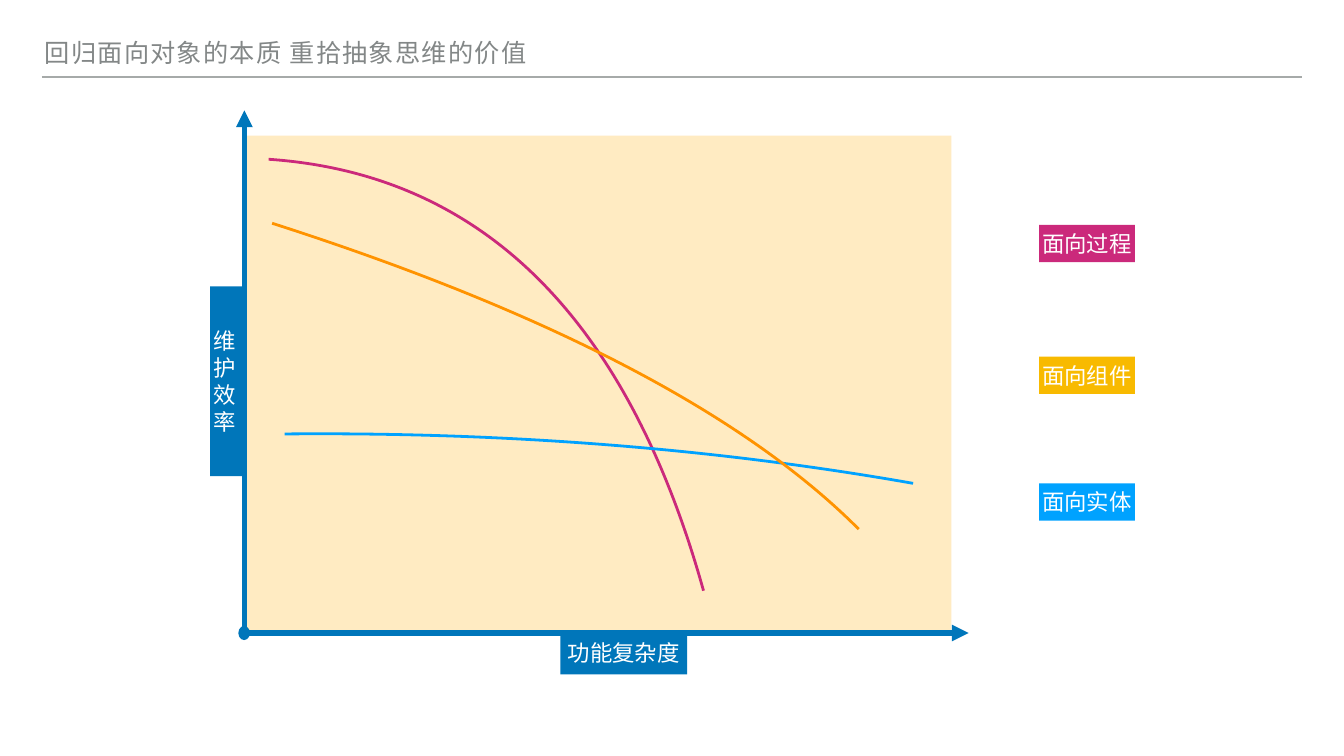
from lxml import etree
from pptx import Presentation
from pptx import util as u
from pptx.dml.color import RGBColor
from pptx.enum import shapes, text
from pptx.oxml import ns

BLUE, WHITE = "0076BA", "FFFFFF"
SLIDE_W, SLIDE_H = 26.67, 15
CURVES = [
    ("CB297B", [(3.08, 4.79), (33.4, 7.75), (54.01, 36.9), (64.81, 92.05)]),
    ("00A2FF", [(5.36, 60.35), (36.77, 59.94), (66.52, 63.3), (94.56, 70.34)]),
    ("FF9300", [(3.58, 17.74), (42.85, 35.68), (70.6, 56.37), (86.84, 79.61)]),
]
LEGEND = [("面向过程", "CB297B", 0), ("面向组件", "F8BA00", 0.446), ("面向实体", "00A2FF", 0.874)]


def rgb(value):
    """Turn a hex string into a colour."""
    return RGBColor.from_string(value)


def add_xml(parent, tag, **attrs):
    """Append a DrawingML element and return it."""
    return etree.SubElement(parent, ns.qn(tag), attrs)


def add_block(s, kind, box, fill):
    """Add a filled shape without outline or shadow."""
    sp = s.shapes.add_shape(kind, *map(u.Inches, box))
    sp.shadow.inherit = False
    sp.fill.solid()
    sp.fill.fore_color.rgb = rgb(fill)
    sp.line.fill.background()
    return sp


def set_text(sp, words, size, font, color, anchor, align=text.PP_ALIGN.LEFT):
    """Write one paragraph with narrow insets and return it."""
    tf = sp.text_frame
    tf.text = words
    tf.word_wrap = True
    tf.vertical_anchor = anchor
    tf.margin_left = tf.margin_right = tf.margin_top = tf.margin_bottom = u.Inches(0.06)
    p = tf.paragraphs[0]
    p.alignment = align
    r = p.runs[0]
    r.font.size, r.font.name = u.Pt(size), font
    r.font.color.rgb = rgb(color)
    return p


def add_label(s, box, words, fill, align=text.PP_ALIGN.LEFT):
    """Add a coloured block with white words."""
    sp = add_block(s, shapes.MSO_SHAPE.RECTANGLE, box, fill)
    set_text(sp, words, 32, "Arial", WHITE, text.MSO_ANCHOR.MIDDLE, align)
    return sp


def add_line(s, start, end, color, width, arrow=False):
    """Add a straight connector, with an arrowhead at its end if asked."""
    line = s.shapes.add_connector(shapes.MSO_CONNECTOR.STRAIGHT, *map(u.Inches, start + end))
    line.line.color.rgb = rgb(color)
    line.line.width = u.Pt(width)
    if arrow:
        add_xml(line.line._get_or_add_ln(), "a:tailEnd", type="triangle")
    add_xml(line._element.spPr, "a:effectLst")


def add_curve(s, box, shares, color):
    """Add a cubic curve whose points are percentages of the box."""
    x, y, w, h = box
    points = [(u.Inches(x + w * px / 100), u.Inches(y + h * py / 100)) for px, py in shares]
    builder = s.shapes.build_freeform(*points[0])
    builder.add_line_segments(points[-1:], close=False)
    sp = builder.convert_to_shape()
    sp.shadow.inherit = False
    sp.fill.background()
    sp.line.color.rgb = rgb(color)
    sp.line.width = u.Pt(4)
    straight = sp._element.find(".//" + ns.qn("a:lnTo"))
    bend = add_xml(straight.getparent(), "a:cubicBezTo")
    for px, py in points[1:]:
        add_xml(bend, "a:pt", x=str(px - sp.left), y=str(py - sp.top))
    straight.getparent().remove(straight)


def add_header(s, box):
    """Place the title above its rule."""
    x, y, w, h = box
    sp = s.shapes.add_textbox(*map(u.Inches, (x, y, w * 0.917, h * 0.85)))
    p = set_text(sp, "回归面向对象的本质 重拾抽象思维的价值", 36, "Lato", "838787", text.MSO_ANCHOR.BOTTOM)
    p.line_spacing = 0.8
    p.runs[0].font._element.set("spc", "180")
    add_line(s, (x, y + h), (x + w, y + h), "A6AAA9", 2)


def add_plot(s, box):
    """Place the tinted field, axes, axis labels and curves."""
    x, y, w, h = box
    field = add_block(s, shapes.MSO_SHAPE.RECTANGLE, box, "FFD479")
    tint = field._element.spPr.find(ns.qn("a:solidFill"))[0]
    add_xml(tint, "a:alpha", val="45000")
    left, bottom = x - 0.05, y + h + 0.06
    add_line(s, (left, bottom - 0.11), (left, y - 0.5), BLUE, 8, True)
    add_line(s, (left + 0.1, bottom), (x + w + 0.34, bottom), BLUE, 8, True)
    add_block(s, shapes.MSO_SHAPE.OVAL, (left - 0.12, bottom - 0.14, 0.23, 0.28), BLUE)
    add_label(s, (x - 0.73, y + h * 0.305, 0.66, h * 0.384), "维护效率", BLUE)
    add_label(s, (x + w * 0.445, y + h + 0.02, w * 0.18, 0.86), "功能复杂度", BLUE, text.PP_ALIGN.CENTER)
    for color, shares in CURVES:
        add_curve(s, box, shares, color)


def add_legend(s, box):
    """Stack the legend labels down the box."""
    x, y, w, h = box
    for words, fill, share in LEGEND:
        sp = add_label(s, (x, y + h * share, w, 0.74), words, fill)
        sp.text_frame.word_wrap = False
        sp.text_frame.auto_size = text.MSO_AUTO_SIZE.SHAPE_TO_FIT_TEXT


def main():
    """Build the slide and save it."""
    prs = Presentation()
    prs.slide_width, prs.slide_height = u.Inches(SLIDE_W), u.Inches(SLIDE_H)
    s = prs.slides.add_slide(prs.slide_layouts[6])
    add_plot(s, (4.9, 2.69, 13.98, 9.81))
    add_legend(s, (20.62, 4.46, 1.9, 5.87))
    add_header(s, (0.83, 0.58, 25, 0.95))
    prs.save("out.pptx")


if __name__ == "__main__":
    main()
